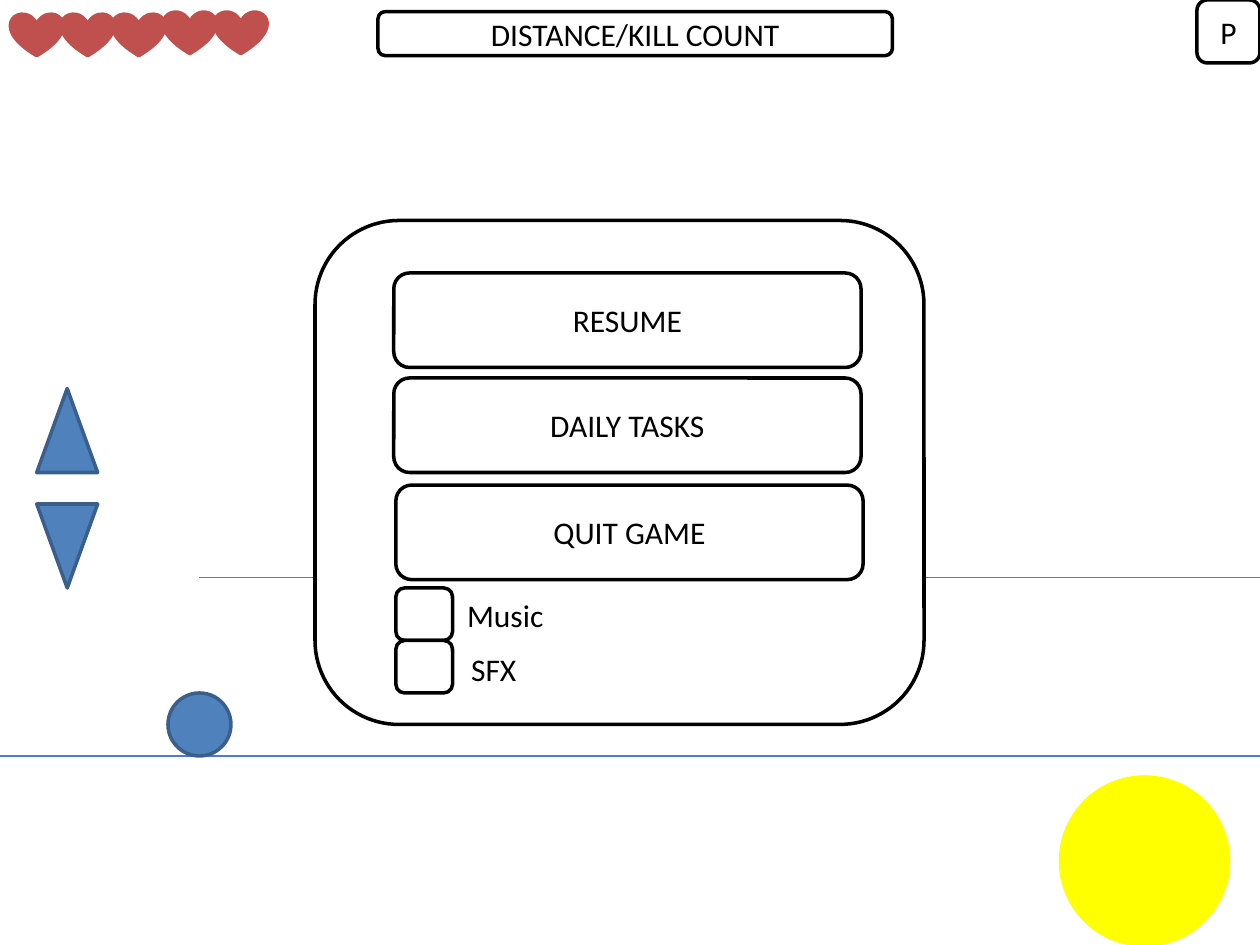
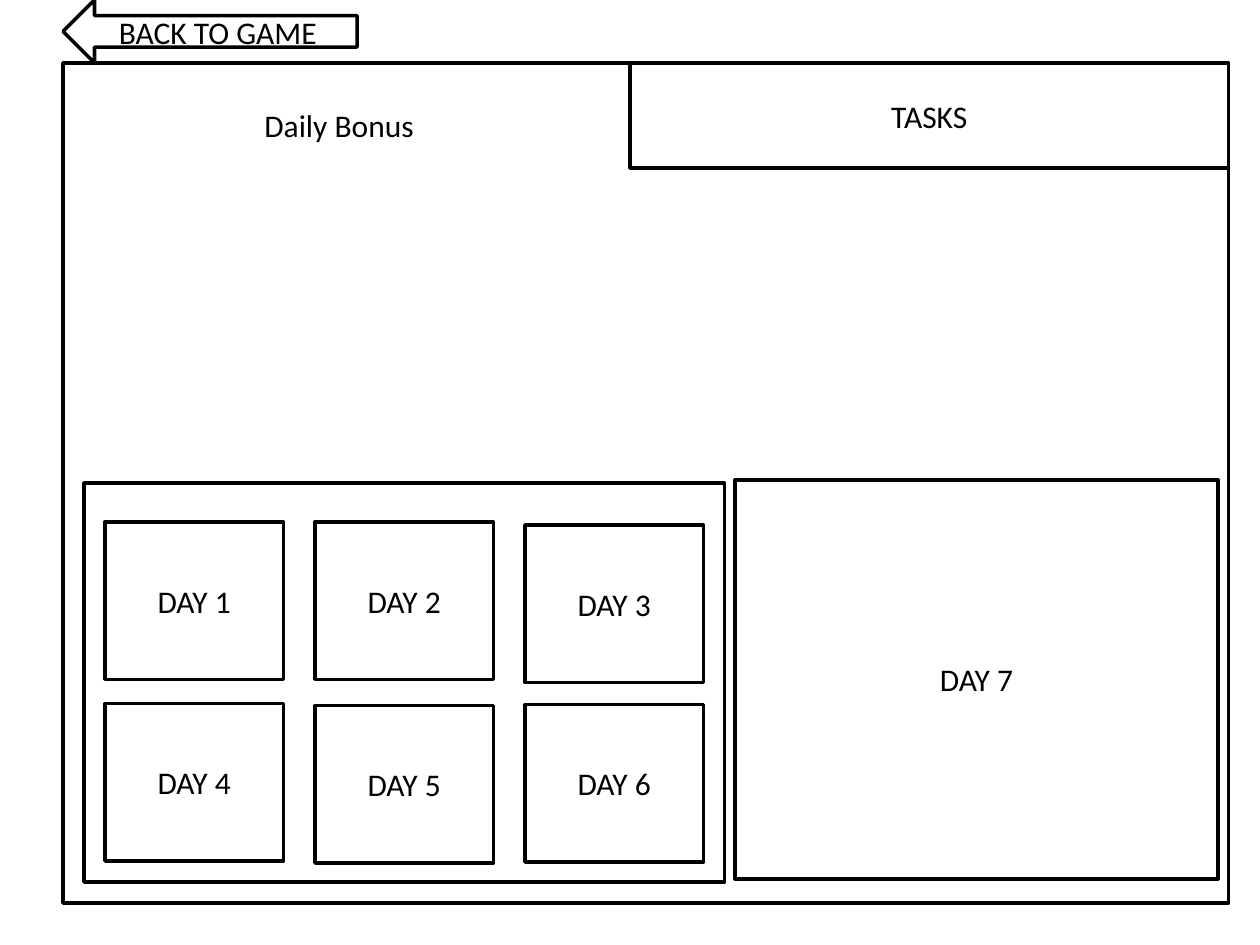
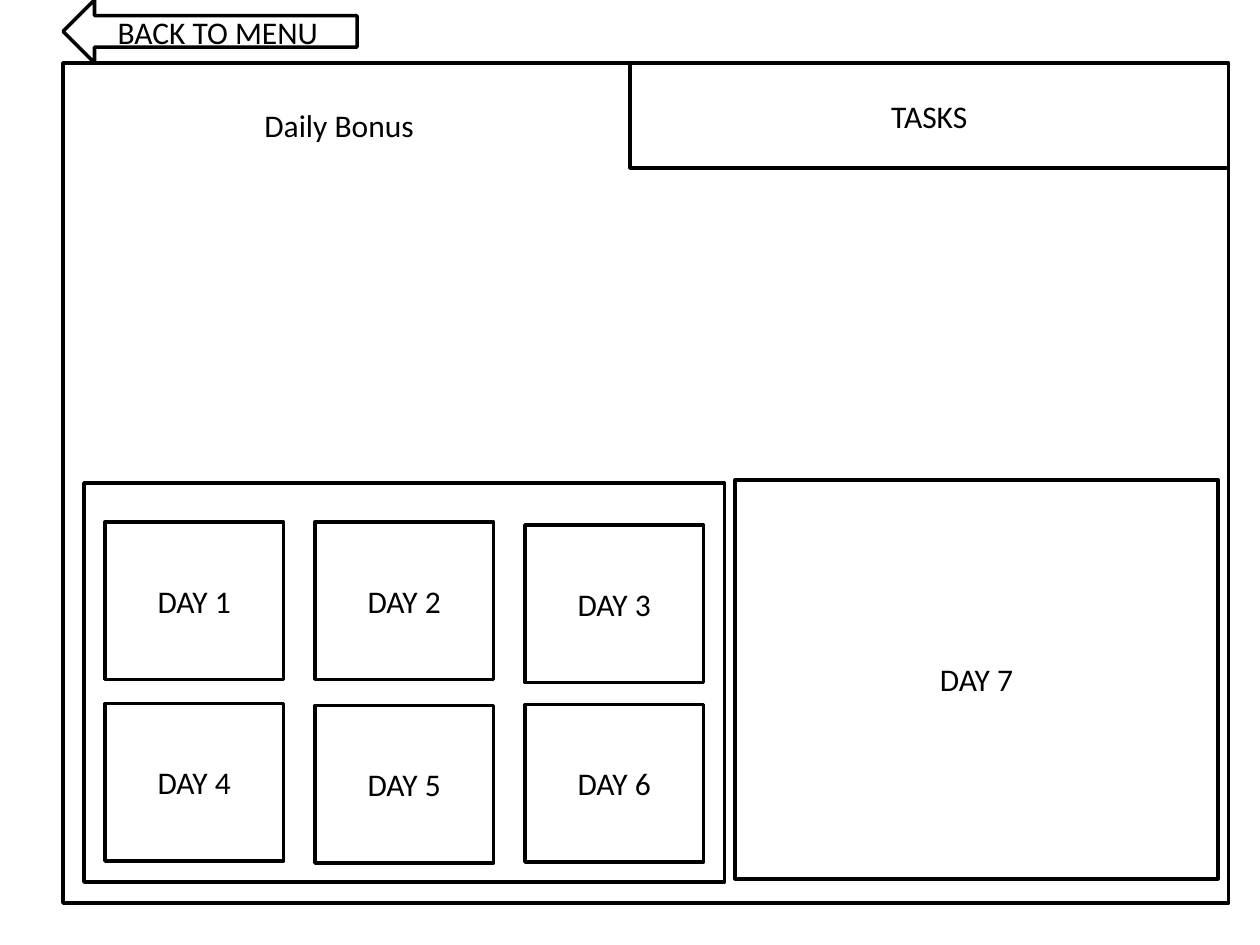
from dataclasses import dataclass
from typing import NamedTuple

from lxml.etree import SubElement
from pptx import Presentation
from pptx.dml.color import RGBColor as Rgb
from pptx.enum.shapes import MSO_CONNECTOR as Link, MSO_SHAPE as Kind
from pptx.enum.text import MSO_ANCHOR as Anchor, MSO_AUTO_SIZE as Fit, PP_ALIGN as Align
from pptx.oxml.ns import qn
from pptx.shapes.autoshape import Shape
from pptx.slide import Slide
from pptx.util import Inches, Pt

COLS, ROWS = 120, 90  # twelve grid cells to the inch


class Paint(NamedTuple):
    """A fill colour and its outline colour."""
    fill: str
    line: str


@dataclass(frozen=True)
class Theme:
    """Colours, font and sizes used on every slide."""
    ink: str = "000000"
    box: Paint = Paint("FFFFFF", "000000")
    blue: Paint = Paint("4F81BD", "3A5F8C")
    red: Paint = Paint("C0504D", "C0504D")
    sun: Paint = Paint("FFFF00", "FFFF00")
    rule: str = "4B7EBC"
    font: str = "Calibri"
    size: float = 18
    edge: float = 2
    thin: float = 0.75


@dataclass(frozen=True)
class Item:
    """A preset shape placed in grid cells."""
    kind: Kind
    col: float
    row: float
    wide: float
    high: float
    text: str = ""
    paint: Paint = Theme.box
    turn: float = 0


class Label(NamedTuple):
    """Free text placed in grid cells."""
    col: float
    row: float
    wide: float
    text: str


class Rule(NamedTuple):
    """A level line between two columns."""
    start: float
    end: float
    row: float


THEME = Theme()
deck = Presentation()
deck.slide_width, deck.slide_height = Inches(10), Inches(7.5)
CELL_W, CELL_H = deck.slide_width / COLS, deck.slide_height / ROWS


def across(cols: float) -> int:
    """Turn columns into a length."""
    return round(cols * CELL_W)


def down(rows: float) -> int:
    """Turn rows into a length."""
    return round(rows * CELL_H)


def coat(shape: Shape, paint: Paint) -> None:
    """Set fill and outline, without shadow."""
    shape.shadow.inherit = False
    shape.fill.solid()
    shape.fill.fore_color.rgb = Rgb.from_string(paint.fill)
    shape.line.color.rgb = Rgb.from_string(paint.line)
    shape.line.width = Pt(THEME.edge)


def write(shape: Shape, text: str, align: Align, anchor: Anchor) -> None:
    """Put one styled line of text in a shape."""
    frame = shape.text_frame
    frame.text = text
    frame.vertical_anchor = anchor
    para = frame.paragraphs[0]
    para.alignment = align
    font = para.runs[0].font
    font.name, font.size = THEME.font, Pt(THEME.size)
    font.color.rgb = Rgb.from_string(THEME.ink)


def draw(slide: Slide, item: Item) -> None:
    """Draw a preset shape with its text."""
    shape = slide.shapes.add_shape(item.kind, across(item.col), down(item.row),
                                   across(item.wide), down(item.high))
    shape.rotation = item.turn
    coat(shape, item.paint)
    if item.text:
        write(shape, item.text, Align.CENTER, Anchor.MIDDLE)


def tag(slide: Slide, label: Label) -> None:
    """Draw a text box that fits its line."""
    box = slide.shapes.add_textbox(across(label.col), down(label.row),
                                   across(label.wide), down(4.8))
    write(box, label.text, Align.LEFT, Anchor.TOP)
    box.text_frame.word_wrap = False
    box.text_frame.auto_size = Fit.SHAPE_TO_FIT_TEXT


def stroke(slide: Slide, rule: Rule) -> None:
    """Draw a thin level line."""
    row = down(rule.row)
    line = slide.shapes.add_connector(Link.STRAIGHT, across(rule.start), row,
                                      across(rule.end), row)
    line.line.color.rgb = Rgb.from_string(THEME.rule)
    line.line.width = Pt(THEME.thin)
    SubElement(line._element.spPr, qn("a:effectLst"))


def blank() -> Slide:
    """Add an empty slide."""
    return deck.slides.add_slide(deck.slide_layouts[6])


def pause() -> None:
    """Build the game screen with its pause menu."""
    slide = blank()
    for rule in (Rule(0, 126, 72), Rule(78, 133, 55), Rule(19, 56, 55)):
        stroke(slide, rule)
    draw(slide, Item(Kind.OVAL, 16, 66, 6, 6, paint=THEME.blue))
    for i in range(5):
        draw(slide, Item(Kind.HEART, 1 + 4.86 * i, 1.3 if i < 3 else 1.1,
                         5, 4, paint=THEME.red))
    pad = Kind.ROUNDED_RECTANGLE
    tip = Kind.ISOSCELES_TRIANGLE
    items = [
        Item(pad, 36, 1.1, 49, 4.2, "DISTANCE/KILL COUNT"),
        Item(pad, 114, 0, 6, 6, "P"),
        Item(tip, 3.5, 37, 5.8, 8, paint=THEME.blue),
        Item(tip, 3.5, 48, 5.8, 8, paint=THEME.blue, turn=180),
        Item(Kind.OVAL, 101, 74, 16, 16, paint=THEME.sun),
        Item(pad, 30, 21, 58, 48),
        Item(pad, 37.5, 26, 44.5, 9, "RESUME"),
        Item(pad, 37.5, 36, 44.5, 9, "DAILY TASKS"),
        Item(pad, 37.7, 46.2, 44.5, 9, "QUIT GAME"),
        Item(pad, 37.7, 56, 5.4, 5),
        Item(pad, 37.7, 61, 5.4, 5),
    ]
    for item in items:
        draw(slide, item)
    tag(slide, Label(43.3, 56.2, 9.7, "Music"))
    tag(slide, Label(43.7, 61.3, 6.7, "SFX"))


def bonus(back: str) -> None:
    """Build the daily bonus screen with a named way back."""
    slide = blank()
    edge = [(60, 6), (60, 16), (117, 16), (117, 86), (6, 86), (6, 16)]
    pen = slide.shapes.build_freeform(across(6), down(6))
    pen.add_line_segments([(across(x), down(y)) for x, y in edge], close=True)
    coat(pen.convert_to_shape(), THEME.box)
    tag(slide, Label(24, 9.5, 16.8, "Daily Bonus"))
    draw(slide, Item(Kind.RECTANGLE, 8, 46, 61, 38))
    tops = (49.7, 49.7, 50, 67, 67.2, 67.1)
    for i, top in enumerate(tops):
        draw(slide, Item(Kind.RECTANGLE, 10 + 20 * (i % 3), top, 17, 15, f"DAY {i + 1}"))
    draw(slide, Item(Kind.RECTANGLE, 70, 45.7, 46, 38, "DAY 7"))
    draw(slide, Item(Kind.RECTANGLE, 60, 6, 57, 10, "TASKS"))
    draw(slide, Item(Kind.LEFT_ARROW, 6, 0, 28, 6, back))


pause()
for back in ("BACK TO GAME", "BACK TO MENU"):
    bonus(back)
deck.save("out.pptx")
